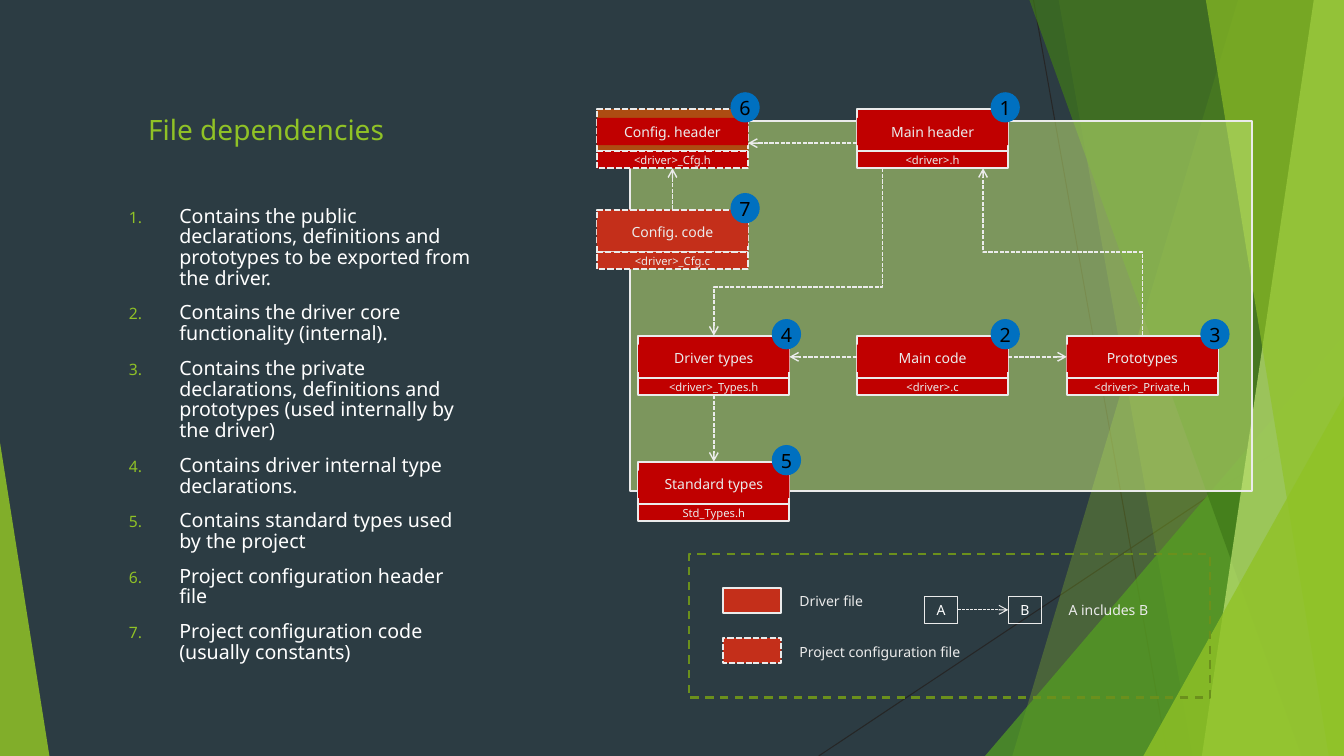
"""Build the "File dependencies" slide: a numbered list beside a driver include diagram."""
from lxml import etree
from pptx import Presentation
from pptx.dml.color import RGBColor
from pptx.enum.dml import MSO_LINE
from pptx.enum.shapes import MSO_CONNECTOR, MSO_SHAPE
from pptx.enum.text import MSO_ANCHOR, PP_ALIGN
from pptx.oxml.ns import qn
from pptx.util import Inches, Pt

RECT, OVAL, TRIANGLE = MSO_SHAPE.RECTANGLE, MSO_SHAPE.OVAL, MSO_SHAPE.ISOSCELES_TRIANGLE
STRAIGHT, ELBOW = MSO_CONNECTOR.STRAIGHT, MSO_CONNECTOR.ELBOW
DOTS, DASH = MSO_LINE.SQUARE_DOT, MSO_LINE.DASH
LEFT, CENTER = PP_ALIGN.LEFT, PP_ALIGN.CENTER
MIDDLE, BOTTOM = MSO_ANCHOR.MIDDLE, MSO_ANCHOR.BOTTOM
FONT = "Noto Sans"
COLORS = {
    "bg": "2C3C43", "ray": "262626", "lime": "90C226", "green": "54A021", "forest": "3F7819",
    "pale": "C0E474", "frame": "6B901C", "light": "EBEBEB", "white": "FFFFFF", "black": "000000",
    "red": "C00000", "rust": "C42F1A", "brown": "AD4C12", "blue": "0070C0",
}

TITLE = "File dependencies"
NOTES = [
    "Contains the public declarations, definitions and prototypes to be exported from the driver.",
    "Contains the driver core functionality (internal).",
    "Contains the private declarations, definitions and prototypes (used internally by the driver)",
    "Contains driver internal type declarations.",
    "Contains standard types used by the project",
    "Project configuration header file",
    "Project configuration code (usually constants)",
]
RAYS = [(10.25, 0, 11.58, 7.5), (13.33, 4.03, 8.12, 7.5)]
BANDS_BACK = [(12.28, 10.04, "lime", 30), (10.5, 11.83, "lime", 20)]
BANDS_FRONT = [(10.21, 12.91, "forest", 70), (13.03, 11.92, "pale", 70), (11.96, 13.18, "lime", 65)]
TRIANGLE_BACK = (9.77, 3.33, 3.56, 4.17, 1, "green", 72)
TRIANGLES_FRONT = [(11.34, 3.93, 1.99, 3.57, 1, "lime", 80), (0, 4.39, 0.49, 3.11, 0, "lime", 85)]
FILES = [
    (1, "Main header", "<driver>.h", 8.5, 1.08, "red", "red", None),
    (2, "Main code", "<driver>.c", 8.5, 3.33, "red", "red", None),
    (3, "Prototypes", "<driver>_Private.h", 10.58, 3.33, "red", "red", None),
    (4, "Driver types", "<driver>_Types.h", 6.33, 3.33, "red", "red", None),
    (5, "Standard types", "Std_Types.h", 6.33, 4.58, "red", "red", None),
    (6, "Config. header", "<driver>_Cfg.h", 5.92, 1.08, "brown", "red", DOTS),
    (7, "Config. code", "<driver>_Cfg.c", 5.92, 2.08, "rust", "rust", DOTS),
]
INCLUDES = [
    (8.5, 3.54, 7.83, 3.54), (10, 3.54, 10.58, 3.54), (6.67, 2.08, 6.67, 1.67),
    (8.5, 1.42, 7.42, 1.42), (7.08, 3.92, 7.08, 4.58),
]
BENT_INCLUDES = [(11.33, 3.33, 9.75, 1.67, 0.5), (8.75, 1.67, 7.08, 3.33, 0.71)]
LEGEND_FILES = [("Driver file", 5.83, None), ("Project configuration file", 6.33, DOTS)]
LEGEND_NODES = [("A", 9.17), ("B", 10)]

prs = Presentation()
prs.slide_width, prs.slide_height = Inches(13.33), Inches(7.5)
s = prs.slides.add_slide(prs.slide_layouts[6])


def rgb(name):
    return RGBColor.from_string(COLORS[name])


def sub(parent, tag, **attrs):
    return etree.SubElement(parent, qn(tag), {k: str(v) for k, v in attrs.items()})


def paint(sp, fill=None, alpha=100, line=None, width=1, dash=None):
    sp.shadow.inherit = False
    if fill:
        sp.fill.solid()
        sp.fill.fore_color.rgb = rgb(fill)
        if alpha < 100:
            color = sp.fill._xPr.find(qn("a:solidFill"))[0]
            sub(color, "a:alpha", val=alpha * 1000)
    else:
        sp.fill.background()
    if line:
        stroke(sp, line, width, dash)
    else:
        sp.line.fill.background()


def stroke(sp, color, width, dash=None):
    sp.line.color.rgb = rgb(color)
    sp.line.width = Pt(width)
    if dash:
        sp.line.dash_style = dash


def style(p, text, size, color, align=LEFT):
    p.text = text
    p.alignment = align
    p.font.size, p.font.name, p.font.color.rgb = Pt(size), FONT, rgb(color)


def write(sp, text, size, color, align=CENTER, anchor=MIDDLE, wrap=True, margin=0):
    tf = sp.text_frame
    tf.word_wrap, tf.vertical_anchor = wrap, anchor
    tf.margin_left = tf.margin_right = Inches(margin)
    tf.margin_top = tf.margin_bottom = Inches(margin / 2)
    style(tf.paragraphs[0], text, size, color, align)


def shape(kind, x, y, w, h, **look):
    sp = s.shapes.add_shape(kind, *map(Inches, (x, y, w, h)))
    paint(sp, **look)
    return sp


def label(x, y, w, h, text, size, color, anchor=MIDDLE):
    sp = s.shapes.add_textbox(*map(Inches, (x, y, w, h)))
    write(sp, text, size, color, LEFT, anchor, margin=0.1)


def connector(kind, ends, color, width, dash=None, arrow=True):
    c = s.shapes.add_connector(kind, *map(Inches, ends))
    stroke(c, color, width, dash)
    if arrow:
        sub(c.line._get_or_add_ln(), "a:tailEnd", type="arrow")
    sub(c._element.spPr, "a:effectLst")
    return c


def bent(x1, y1, x2, y2, bend):
    """Draw an elbow that leaves and arrives vertically, as a turned horizontal elbow."""
    cx, cy, w, h = (x1 + x2) / 2, (y1 + y2) / 2, abs(y2 - y1), abs(x2 - x1)
    up = y2 < y1
    rise = h / 2 if up else -h / 2
    c = connector(ELBOW, (cx - w / 2, cy + rise, cx + w / 2, cy - rise), "light", 1, DOTS)
    spPr = c._element.spPr
    spPr.find(qn("a:xfrm")).set("rot", str((270 if up else 90) * 60000))
    guides = spPr.find(qn("a:prstGeom")).find(qn("a:avLst"))
    sub(guides, "a:gd", name="adj1", fmla=f"val {round(bend * 100000)}")


def band(top, bottom, color, alpha):
    points = [(top, 0), (13.33, 0), (13.33, 7.5), (bottom, 7.5)]
    points = [(Inches(x), Inches(y)) for x, y in points]
    fb = s.shapes.build_freeform(*points[0])
    fb.add_line_segments(points[1:], close=True)
    paint(fb.convert_to_shape(), color, alpha)


def triangle(x, y, w, h, apex, color, alpha):
    shape(TRIANGLE, x, y, w, h, fill=color, alpha=alpha).adjustments[0] = apex


def file_box(name, path_text, x, y, back, front, dash):
    edge = {"line": "light", "width": 1.5, "dash": dash}
    shape(RECT, x, y, 1.5, 0.42, fill=back, **edge)
    write(shape(RECT, x, y + 0.09, 1.5, 0.27, fill=front), name, 10, "light")
    write(shape(RECT, x, y + 0.42, 1.5, 0.17, fill=front, **edge), path_text, 8, "light")


s.background.fill.solid()
s.background.fill.fore_color.rgb = rgb("bg")
for ends in RAYS:
    connector(STRAIGHT, ends, "ray", 0.75, arrow=False)
for item in BANDS_BACK:
    band(*item)
triangle(*TRIANGLE_BACK)
for item in BANDS_FRONT:
    band(*item)
for item in TRIANGLES_FRONT:
    triangle(*item)

shape(RECT, 6.25, 1.2, 6.17, 3.67, fill="pale", alpha=54, line="light")
label(1.37, 0.1, 4.22, 1.4, TITLE, 20, "lime", BOTTOM)

tf = s.shapes.add_textbox(*map(Inches, (1.18, 2, 3.6, 5.08))).text_frame
tf.word_wrap = True
for i, note in enumerate(NOTES):
    p = tf.add_paragraph() if i else tf.paragraphs[0]
    p.line_spacing, p.space_before = 0.88, Pt(10)
    pPr = p._p.get_or_add_pPr()
    pPr.set("marL", str(Inches(0.5)))
    pPr.set("indent", str(Inches(-0.5)))
    sub(sub(pPr, "a:buClr"), "a:srgbClr", val=COLORS["lime"])
    sub(pPr, "a:buSzPct", val=80000)
    sub(pPr, "a:buAutoNum", type="arabicPeriod")
    style(p, note, 14, "white")

for _, *box in FILES:
    file_box(*box)
for ends in INCLUDES:
    connector(STRAIGHT, ends, "light", 1, DOTS)
for item in BENT_INCLUDES:
    bent(*item)
for number, _, _, x, y, *_ in FILES:
    badge = shape(OVAL, x + 1.33, y - 0.16, 0.28, 0.29, fill="blue", line="blue", width=0.75)
    write(badge, str(number), 14, "black", wrap=False)

for text, y, dash in LEGEND_FILES:
    shape(RECT, 7.17, y, 0.58, 0.25, fill="rust", line="light", width=1.5, dash=dash)
    label(7.83, y, 1.92, 0.27, text, 10, "light")
for text, x in LEGEND_NODES:
    write(shape(RECT, x, 5.92, 0.33, 0.27, line="light", width=0.75), text, 10, "white")
connector(STRAIGHT, (9.5, 6.05, 10, 6.05), "light", 0.75, DOTS)
label(10.5, 5.92, 1.08, 0.27, "A includes B", 10, "light")
shape(RECT, 6.83, 5.5, 5.17, 1.42, line="frame", width=1.5, dash=DASH)
prs.save("out.pptx")
